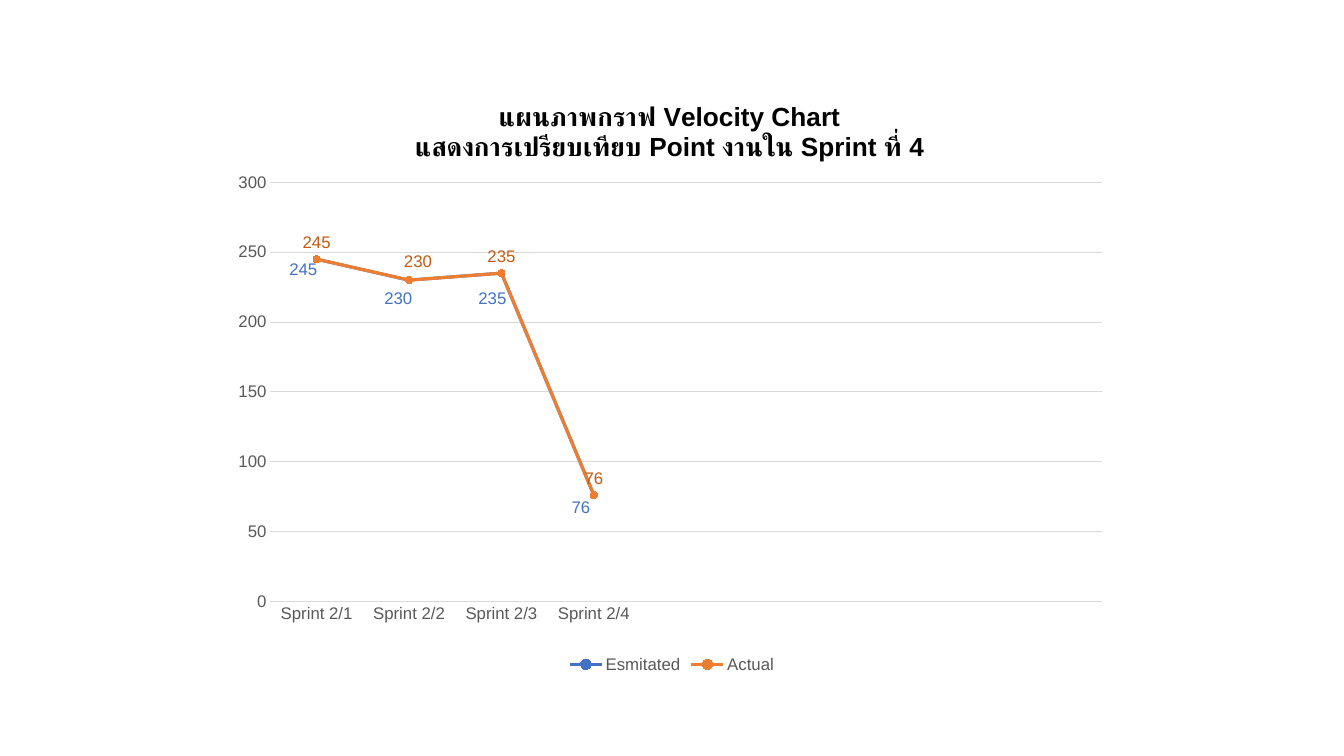
from lxml import etree
from pptx import Presentation
from pptx import util as u
from pptx.chart.data import CategoryChartData
from pptx.dml.color import RGBColor
from pptx.enum import chart as ch
from pptx.oxml.ns import qn

FONT = "Arial"
COLORS = {
    "estimated": "4472C4",
    "actual": "ED7D31",
    "actual_label": "C55A11",
    "axis_text": "595959",
    "grid": "D9D9D9",
    "title": "000000",
}
SLIDE_WIDTH, SLIDE_HEIGHT = 13.33, 7.5
CHART_BOX = (2.22, 0.79, 8.89, 5.93)
POINTS = [245, 230, 235, 76]
SLOTS = 9
TITLE_LINES = ["แผนภาพกราฟ Velocity Chart",
               "แสดงการเปรียบเทียบ Point งานใน Sprint ที่ 4"]
# Left and top of each estimate label, as shares of the chart box
ESTIMATE_PLACES = [(0.062, 0.292), (0.168, 0.339), (0.273, 0.339), (0.377, 0.69)]


def color(name):
    return RGBColor.from_string(COLORS[name])


def style_font(font, size, color_name, bold=False):
    font.name = FONT
    font.size = u.Pt(size)
    font.bold = bold
    font.color.rgb = color(color_name)


def set_layout(parent, index, **values):
    """Give a chart element a manual layout, as shares of the chart."""
    for old in parent.findall(qn("c:layout")):
        parent.remove(old)
    layout = etree.Element(qn("c:layout"))
    manual = etree.SubElement(layout, qn("c:manualLayout"))
    for name, value in values.items():
        etree.SubElement(manual, qn(f"c:{name}")).set("val", str(value))
    parent.insert(index, layout)


def style_title(chart):
    frame = chart.chart_title.text_frame
    for number, line in enumerate(TITLE_LINES):
        paragraph = frame.add_paragraph() if number else frame.paragraphs[0]
        run = paragraph.add_run()
        run.text = line
        style_font(run.font, 18.7, "title", bold=True)
    chart.chart_title.include_in_layout = False
    set_layout(chart.chart_title._element, 1,
               xMode="edge", yMode="edge", x=0.21, y=0.03)


def style_axes(chart):
    for axis in (chart.category_axis, chart.value_axis):
        axis.major_tick_mark = axis.minor_tick_mark = ch.XL_TICK_MARK.NONE
        style_font(axis.tick_labels.font, 12, "axis_text")
    value_axis = chart.value_axis
    value_axis.minimum_scale, value_axis.maximum_scale = 0, 300
    value_axis.major_unit = 50
    value_axis.has_major_gridlines = True
    value_axis.format.line.fill.background()
    for line in (chart.category_axis.format.line,
                 value_axis.major_gridlines.format.line):
        line.color.rgb = color("grid")
        line.width = u.Pt(0.75)


def style_series(series, color_name):
    series.smooth = False
    series.format.line.color.rgb = color(color_name)
    series.format.line.width = u.Pt(2.25)
    marker = series.marker
    marker.style = ch.XL_MARKER_STYLE.CIRCLE
    marker.size = 5
    marker.format.fill.solid()
    marker.format.fill.fore_color.rgb = color(color_name)
    marker.format.line.color.rgb = color(color_name)


def label_actual(series):
    labels = series.data_labels
    labels.show_value = True
    labels.position = ch.XL_LABEL_POSITION.ABOVE
    style_font(labels.font, 12, "actual_label")
    second = series.points[1].data_label
    second.position = ch.XL_LABEL_POSITION.ABOVE
    style_font(second.font, 12, "actual_label")
    set_layout(labels._element.find(qn("c:dLbl")), 1, x=0.01, y=-0.003)


def add_velocity_chart(slide, box):
    empty = SLOTS - len(POINTS)
    data = CategoryChartData()
    data.categories = [f"Sprint 2/{n + 1}" for n in range(len(POINTS))] + [""] * empty
    for name in ("Esmitated", "Actual"):
        data.add_series(name, POINTS + [None] * empty)
    chart = slide.shapes.add_chart(
        ch.XL_CHART_TYPE.LINE_MARKERS, *map(u.Inches, box), data).chart
    style_font(chart.font, 10, "title")
    style_title(chart)
    style_axes(chart)
    plot = chart.plots[0]
    plot.vary_by_categories = False
    for series, color_name in zip(plot.series, ("estimated", "actual")):
        style_series(series, color_name)
    label_actual(plot.series[1])
    set_layout(chart._chartSpace.chart.plotArea, 0,
               layoutTarget="inner", xMode="edge", yMode="edge",
               x=0.052, y=0.172, w=0.928, h=0.701)
    chart.has_legend = True
    chart.legend.position = ch.XL_LEGEND_POSITION.BOTTOM
    chart.legend.include_in_layout = False
    style_font(chart.legend.font, 12, "axis_text")


def add_estimate_labels(slide, box):
    left, top, width, height = box
    for value, (x, y) in zip(POINTS, ESTIMATE_PLACES):
        label = slide.shapes.add_textbox(
            u.Inches(left + x * width), u.Inches(top + y * height),
            u.Inches(0.5), u.Inches(0.28))
        label.text_frame.word_wrap = False
        run = label.text_frame.paragraphs[0].add_run()
        run.text = str(value)
        style_font(run.font, 12, "estimated")


def main():
    presentation = Presentation()
    presentation.slide_width = u.Inches(SLIDE_WIDTH)
    presentation.slide_height = u.Inches(SLIDE_HEIGHT)
    slide = presentation.slides.add_slide(presentation.slide_layouts[6])
    add_velocity_chart(slide, CHART_BOX)
    add_estimate_labels(slide, CHART_BOX)
    presentation.save("out.pptx")


if __name__ == "__main__":
    main()
